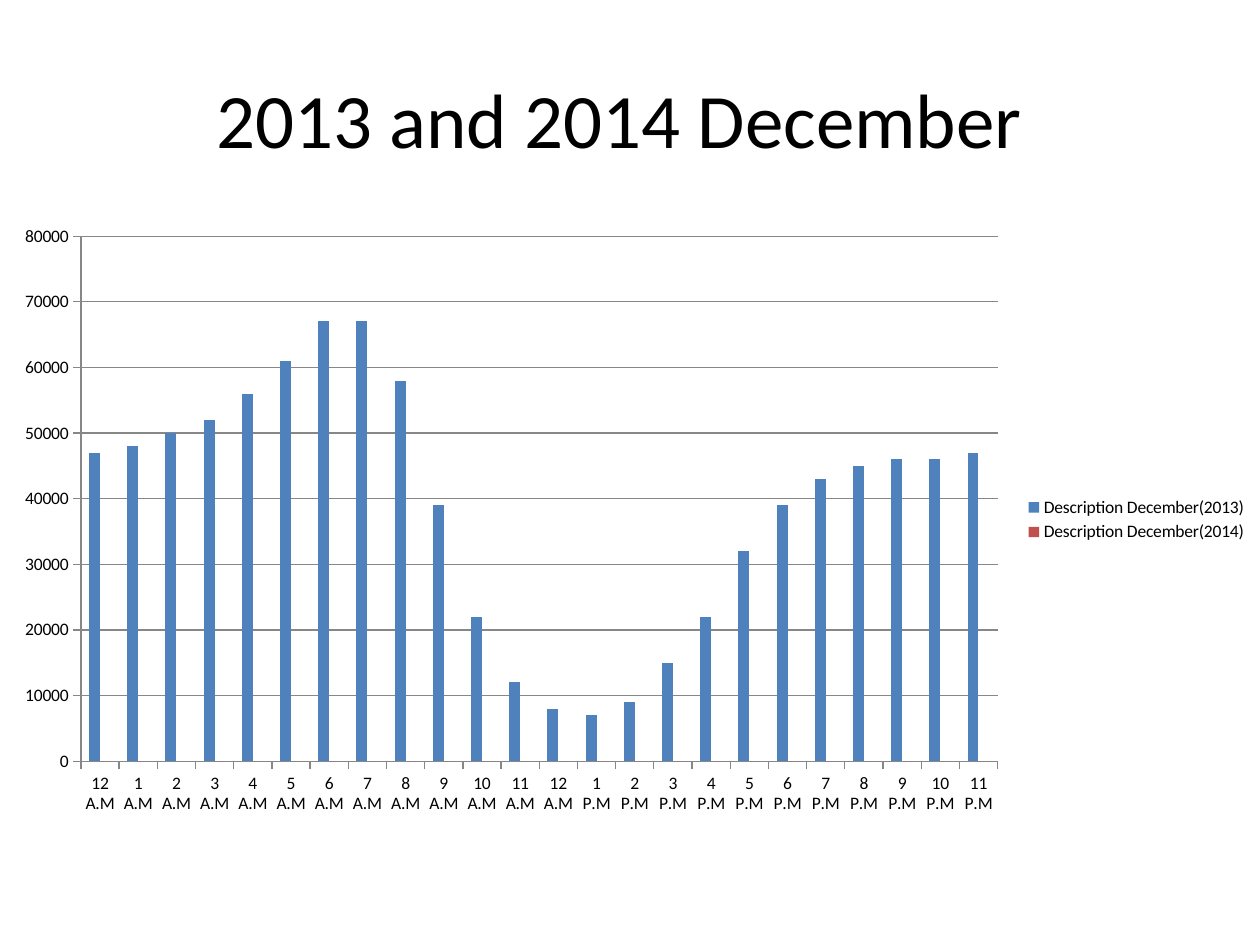
from pptx import Presentation
from pptx.chart.data import CategoryChartData
from pptx.dml.color import RGBColor
from pptx.enum.chart import XL_CHART_TYPE as ChartType, XL_LEGEND_POSITION as LegendPosition, XL_TICK_MARK as TickMark
from pptx.enum.text import MSO_ANCHOR as Anchor, PP_ALIGN as Align
from pptx.util import Pt


def color(hex_code):
    return RGBColor.from_string(hex_code)


deck = Presentation()
deck.slide_width, deck.slide_height = Pt(720), Pt(540)
page = deck.slides.add_slide(deck.slide_layouts[5])

title = page.shapes.title
title.left, title.top, title.width, title.height = Pt(48), Pt(9.5), Pt(612), Pt(116)
title.text_frame.text = "2013 and 2014 December"
title.text_frame.vertical_anchor = Anchor.MIDDLE
para = title.text_frame.paragraphs[0]
para.alignment = Align.CENTER
span = para.runs[0]
span.font.name = "Calibri"
span.font.size = Pt(44)
span.font.color.rgb = color("000000")

hours = range(1, 12)
thousands_2013 = [47, 48, 50, 52, 56, 61, 67, 67, 58, 39, 22, 12,
                  8, 7, 9, 15, 22, 32, 39, 43, 45, 46, 46, 47]
data = CategoryChartData(number_format="General")
for half in ("A.M", "P.M"):
    for label in ["12 A.M"] + [f"{hour} {half}" for hour in hours]:
        data.add_category(label)
data.add_series("Description December(2013)", [value * 1000 for value in thousands_2013])
data.add_series("Description December(2014)", [0] * len(thousands_2013))

chart = page.shapes.add_chart(
    ChartType.COLUMN_CLUSTERED, Pt(0), Pt(122.4), Pt(720), Pt(349.2), data
).chart
chart.has_title = False
chart.font.name = "Calibri"
chart.font.size = Pt(10)
chart.font.color.rgb = color("000000")
chart.has_legend = True
chart.legend.position = LegendPosition.RIGHT
chart.legend.include_in_layout = False

plot = chart.plots[0]
plot.gap_width = 150
plot.overlap = 0
plot.vary_by_categories = False
for series, fill in zip(plot.series, ("4F81BD", "C0504D")):
    series.format.fill.solid()
    series.format.fill.fore_color.rgb = color(fill)

values = chart.value_axis
values.minimum_scale, values.maximum_scale, values.major_unit = 0, 80000, 10000
values.has_major_gridlines = True
for axis in (chart.category_axis, values):
    axis.major_tick_mark = TickMark.OUTSIDE
    axis.minor_tick_mark = TickMark.NONE
for line in (chart.category_axis.format.line, values.format.line, values.major_gridlines.format.line):
    line.color.rgb = color("878787")
    line.width = Pt(0.75)

deck.save("out.pptx")
